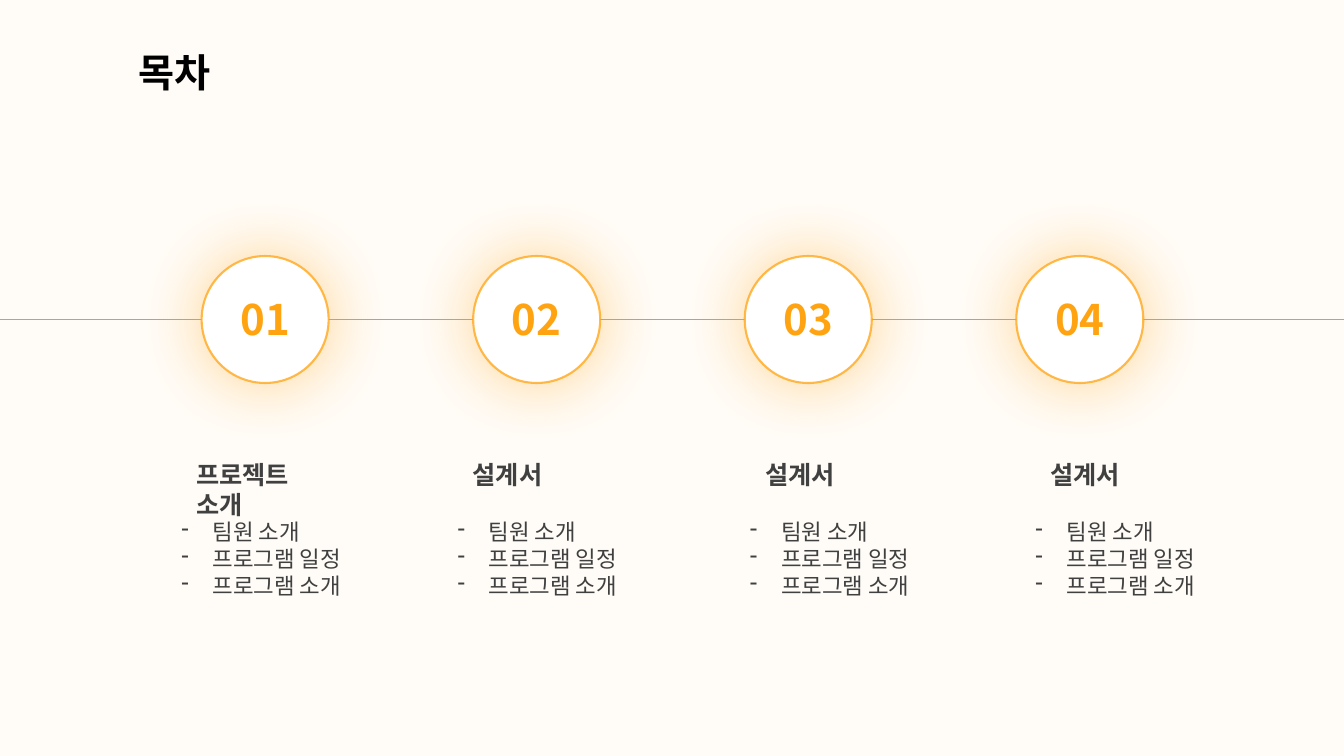
from lxml import etree
from pptx import Presentation
from pptx import util as u
from pptx.dml.color import RGBColor
from pptx.enum import shapes, text
from pptx.oxml.ns import qn

TITLE = "목차"
TOPICS = ["팀원 소개", "프로그램 일정", "프로그램 소개"]
# heading, left edge of its topic list
SECTIONS = [
    ("프로젝트 소개", 1.70),
    ("설계서", 4.44),
    ("설계서", 7.34),
    ("설계서", 10.17),
]
FONT = "Noto Sans CJK KR"
COLORS = {
    "background": "FFFCF7",
    "title": "000000",
    "accent": "FFA310",
    "body": "404040",
    "circle": "FFFFFF",
    "timeline": "A6A6A6",
}

SLIDE_WIDTH, SLIDE_HEIGHT = 13.33, 7.5
TIMELINE_Y = 3.17
CIRCLE_SIZE = 1.26
FIRST_CIRCLE, LAST_CIRCLE = 2.0, 10.08
NUMBER_WIDTH, NUMBER_HEIGHT = 0.7, 0.61
HEADING_INDENT = 0.15
BULLET_INDENT = 0.31
LINE_HEIGHT = 1.2


def rgb(name):
    return RGBColor.from_string(COLORS[name])


def add_color(parent, name, opacity):
    color = etree.SubElement(parent, qn("a:srgbClr"), val=COLORS[name])
    etree.SubElement(color, qn("a:alpha"), val=str(opacity * 1000))


def add_text(slide, lines, box, size, color, bold=False, wrap=True):
    shape = slide.shapes.add_textbox(*map(u.Inches, box))
    frame = shape.text_frame
    frame.word_wrap = wrap
    frame.text = "\n".join(lines)
    for paragraph in frame.paragraphs:
        paragraph.line_spacing = u.Pt(size * LINE_HEIGHT)
        font = paragraph.runs[0].font
        font.size, font.bold, font.name = u.Pt(size), bold, FONT
        font.color.rgb = rgb(color)
        properties = paragraph.runs[0]._r.get_or_add_rPr()
        etree.SubElement(properties, qn("a:ea"), typeface=FONT)
    return frame


def add_dashes(frame):
    for paragraph in frame.paragraphs:
        properties = paragraph._p.get_or_add_pPr()
        properties.set("marL", str(u.Inches(BULLET_INDENT)))
        properties.set("indent", str(-u.Inches(BULLET_INDENT)))
        etree.SubElement(properties, qn("a:buChar"), char="-")


def add_timeline(slide):
    timeline = slide.shapes.add_connector(
        shapes.MSO_CONNECTOR.STRAIGHT,
        u.Inches(0), u.Inches(TIMELINE_Y),
        u.Inches(SLIDE_WIDTH), u.Inches(TIMELINE_Y))
    timeline.line.color.rgb = rgb("timeline")
    timeline.line.width = u.Pt(0.75)
    etree.SubElement(timeline._element.spPr, qn("a:effectLst"))


def add_circle(slide, left):
    """Add a white circle with a translucent outline and a soft glowing shadow."""
    circle = slide.shapes.add_shape(
        shapes.MSO_SHAPE.OVAL, u.Inches(left),
        u.Inches(TIMELINE_Y - CIRCLE_SIZE / 2),
        u.Inches(CIRCLE_SIZE), u.Inches(CIRCLE_SIZE))
    circle.fill.solid()
    circle.fill.fore_color.rgb = rgb("circle")
    circle.line.width = u.Pt(1.5)
    circle.line.fill.solid()
    outline = circle.line._ln.find(qn("a:solidFill"))
    add_color(outline, "accent", 74)
    circle.shadow.inherit = False
    effects = circle._element.spPr.find(qn("a:effectLst"))
    shadow = etree.SubElement(
        effects, qn("a:outerShdw"), blurRad=str(u.Pt(47.6)),
        dist="0", dir="0", algn="ctr", rotWithShape="0")
    add_color(shadow, "accent", 43)


def main():
    presentation = Presentation()
    presentation.slide_width = u.Inches(SLIDE_WIDTH)
    presentation.slide_height = u.Inches(SLIDE_HEIGHT)
    slide = presentation.slides.add_slide(presentation.slide_layouts[6])
    slide.background.fill.solid()
    slide.background.fill.fore_color.rgb = rgb("background")

    add_text(slide, [TITLE], (1.28, 0.43, 0.92, 0.57), 28, "title",
             bold=True, wrap=False)
    add_timeline(slide)

    pitch = (LAST_CIRCLE - FIRST_CIRCLE) / (len(SECTIONS) - 1)
    for index, (heading, list_left) in enumerate(SECTIONS):
        circle_left = FIRST_CIRCLE + index * pitch
        add_circle(slide, circle_left)
        number_box = (circle_left + (CIRCLE_SIZE - NUMBER_WIDTH) / 2,
                      TIMELINE_Y - NUMBER_HEIGHT / 2,
                      NUMBER_WIDTH, NUMBER_HEIGHT)
        number = add_text(slide, [f"{index + 1:02}"], number_box, 30,
                          "accent", bold=True, wrap=False)
        number.paragraphs[0].alignment = text.PP_ALIGN.CENTER

        topics = add_text(slide, TOPICS, (list_left, 5.09, 1.86, 0.91),
                          16, "body")
        add_dashes(topics)
        add_text(slide, [heading],
                 (list_left + HEADING_INDENT, 4.51, 1.5, 0.4),
                 18, "body", bold=True)

    presentation.save("out.pptx")


if __name__ == "__main__":
    main()
